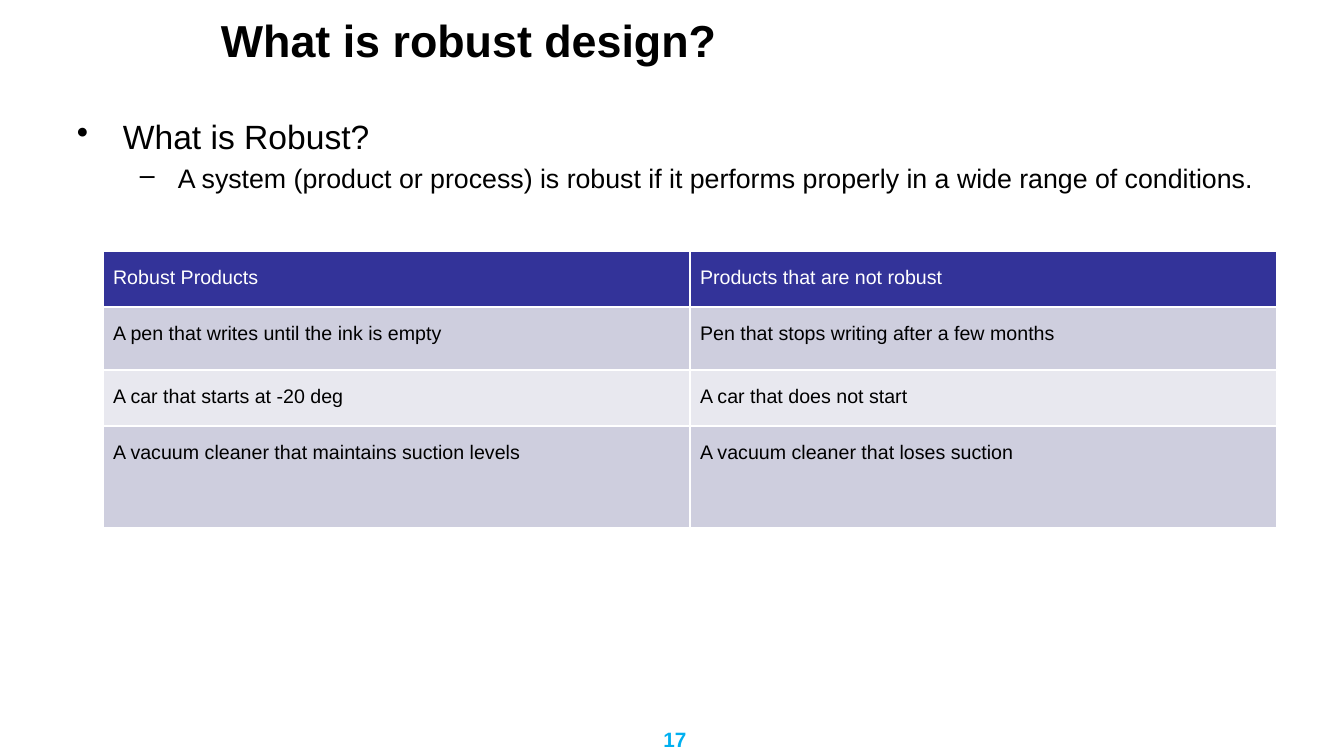
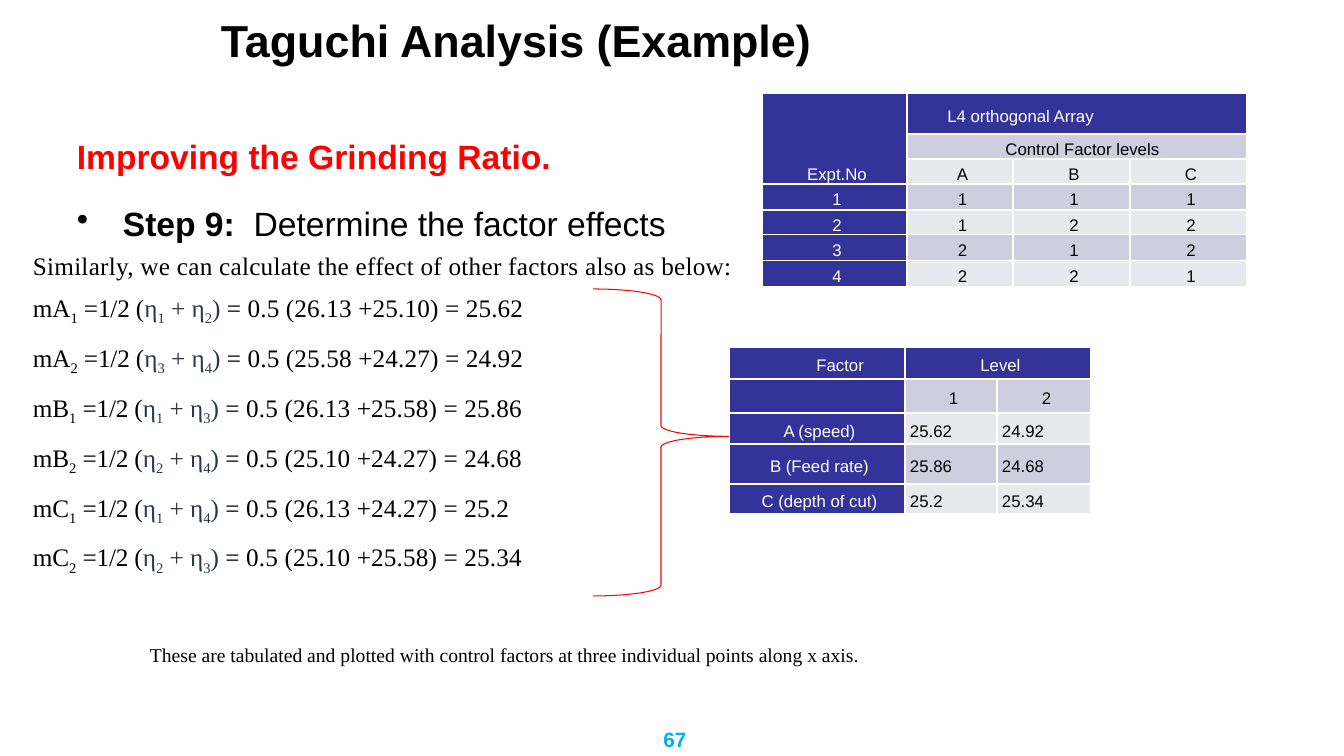
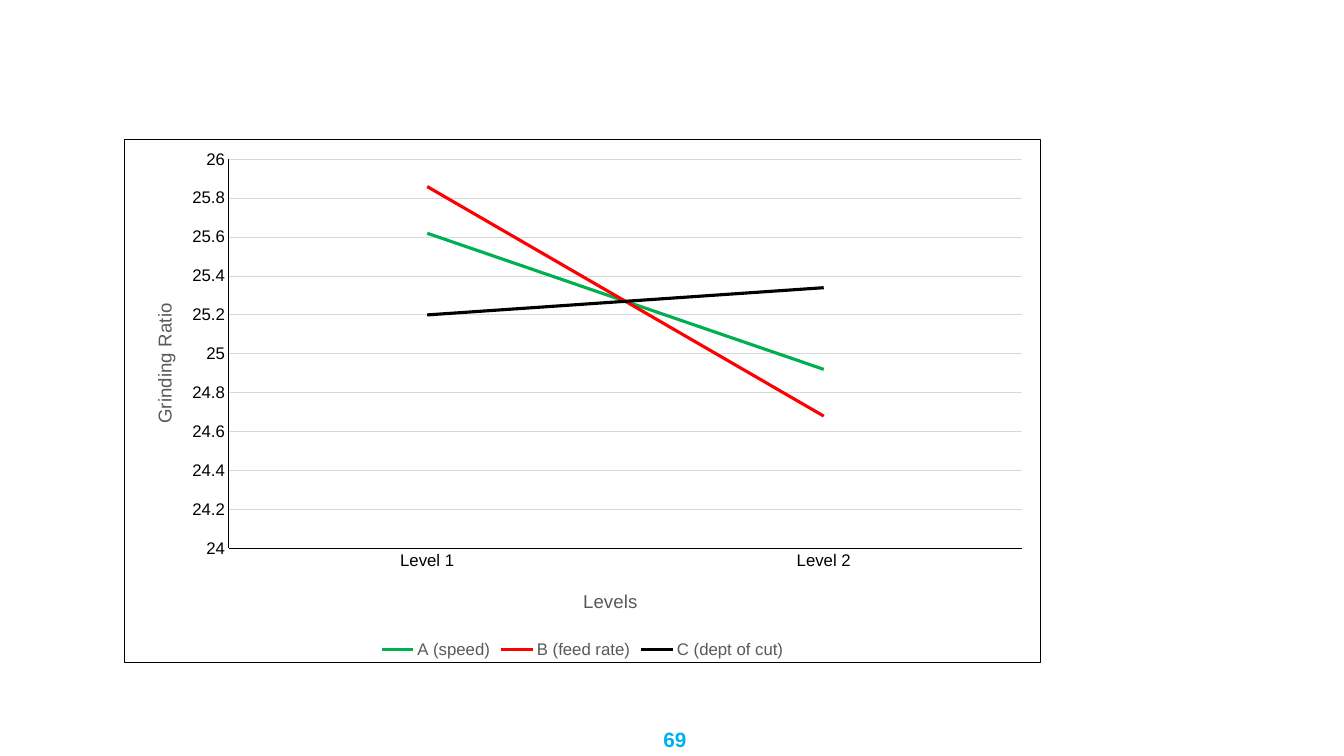
import pptx
import pptx.chart.data
import pptx.dml.color
import pptx.enum.chart
import pptx.enum.shapes
import pptx.enum.text
import pptx.oxml
import pptx.oxml.ns
import pptx.util

PX = 9071  # EMU per px, at 100.8 px to the inch
Pt = pptx.util.Pt
RGBColor = pptx.dml.color.RGBColor
ALIGN = pptx.enum.text.PP_ALIGN
ANCHOR = pptx.enum.text.MSO_ANCHOR
qn = pptx.oxml.ns.qn
nsdecls = pptx.oxml.ns.nsdecls

BLACK = RGBColor(0x00, 0x00, 0x00)
WHITE = RGBColor(0xFF, 0xFF, 0xFF)
RED = RGBColor(0xFF, 0x00, 0x00)
GREEN = RGBColor(0x00, 0xB0, 0x50)
SKY = RGBColor(0x00, 0xB0, 0xF0)
SLATE = RGBColor(0x2B, 0x37, 0x49)
GREY = RGBColor(0x59, 0x59, 0x59)
PALE_GREY = RGBColor(0xD9, 0xD9, 0xD9)
INDIGO = RGBColor(0x33, 0x33, 0x99)
LAVENDER = RGBColor(0xCE, 0xCE, 0xDE)
MIST = RGBColor(0xE8, 0xE8, 0xEF)

TITLE = dict(name="Arial", size=Pt(32), bold=True, color=BLACK)
BODY = dict(name="Arial", size=Pt(24), color=BLACK)
PAGE_NUMBER = dict(name="Arial", size=Pt(14.8), bold=True, color=SKY)
SERIF = dict(name="Times New Roman", size=Pt(18), color=BLACK)
TITLE_BOX = (211, 16, 1132, 47)
BODY_BOX = (67, 111, 1210, 568)
PAGE_NUMBER_BOX = (621, 722, 108, 41)
BULLET = dict(marL=46, indent=-46, bullet="•")
DASH = dict(marL=101, indent=-38, bullet="–")
TIGHT = dict(line_spacing=Pt(17.8))
NO_MARGINS = dict(margin_left=0, margin_right=0, margin_top=0, margin_bottom=0)


def write(frame, base, paragraphs):
    """Fill a frame with (paragraph format, [(text, font changes), ...]) pairs."""
    frame.word_wrap = True
    for number, (layout, runs) in enumerate(paragraphs):
        paragraph = frame.add_paragraph() if number else frame.paragraphs[0]
        properties = paragraph._p.get_or_add_pPr()
        for key, value in layout.items():
            if key in ("marL", "indent"):
                properties.set(key, str(value * PX))
            elif key == "bullet":
                properties.append(pptx.oxml.parse_xml(
                    f'<a:buChar {nsdecls("a")} char="{value}"/>'))
            else:
                setattr(paragraph, key, value)
        for text, changes in runs:
            run = paragraph.add_run()
            run.text = text
            for key, value in {**base, **changes}.items():
                if key == "color":
                    run.font.color.rgb = value
                elif key in ("baseline", "spc"):
                    run._r.get_or_add_rPr().set(key, str(value))
                else:
                    setattr(run.font, key, value)


def add_grid(slide, corner, widths, heights, rows, size, layout, cell_format, header_columns=0):
    """Add a banded table with white rules, a header row and optional header columns."""
    box = [v * PX for v in (*corner, sum(widths), sum(heights))]
    table = slide.shapes.add_table(len(heights), len(widths), *box).table
    for column, width in zip(table.columns, widths):
        column.width = width * PX
    for r, (height, texts) in enumerate(zip(heights, rows)):
        table.rows[r].height = height * PX
        for c, text in enumerate(texts):
            cell = table.cell(r, c)
            header = r == 0 or c < header_columns
            for key, value in cell_format.items():
                setattr(cell, key, value)
            for side in "LRTB":
                cell._tc.get_or_add_tcPr().append(pptx.oxml.parse_xml(
                    f'<a:ln{side} {nsdecls("a")} w="12700"><a:solidFill>'
                    f'<a:srgbClr val="{WHITE}"/></a:solidFill></a:ln{side}>'))
            cell.fill.solid()
            cell.fill.fore_color.rgb = INDIGO if header else LAVENDER if r % 2 else MIST
            font = dict(name="Arial", size=Pt(size), color=WHITE if header else BLACK)
            write(cell.text_frame, font, [(layout, [(text, {})] if text else [])])
    return table


presentation = pptx.Presentation()
presentation.slide_width = 1344 * PX
presentation.slide_height = 756 * PX

slides = []
for title, page_number in [("What is robust design?", "17"),
                           ("Taguchi Analysis (Example)", "67"),
                           ("", "69")]:
    slide = presentation.slides.add_slide(presentation.slide_layouts[6])
    if title:
        heading = slide.shapes.add_textbox(*[v * PX for v in TITLE_BOX]).text_frame
        heading.vertical_anchor = ANCHOR.MIDDLE
        write(heading, TITLE, [({}, [(title, {})])])
    footer = slide.shapes.add_textbox(*[v * PX for v in PAGE_NUMBER_BOX]).text_frame
    write(footer, PAGE_NUMBER, [(dict(alignment=ALIGN.CENTER), [(page_number, {})])])
    slides.append(slide)
robust_slide, taguchi_slide, chart_slide = slides

# Robust design
definition = robust_slide.shapes.add_textbox(*[v * PX for v in BODY_BOX]).text_frame
write(definition, BODY, [
    (BULLET, [("What is Robust?", {})]),
    ({**DASH, "space_before": Pt(4)},
     [("A system (product or process) is robust if it performs properly "
       "in a wide range of conditions.", dict(size=Pt(19.1)))]),
])
add_grid(robust_slide, (103, 251), [587, 587], [56, 63, 56, 102], [
    ("Robust Products", "Products that are not robust"),
    ("A pen that writes until the ink is empty", "Pen that stops writing after a few months"),
    ("A car that starts at -20 deg", "A car that does not start"),
    ("A vacuum cleaner that maintains suction levels", "A vacuum cleaner that loses suction"),
], 14, dict(line_spacing=1.5), {})

# Taguchi analysis
step = taguchi_slide.shapes.add_textbox(*[v * PX for v in BODY_BOX]).text_frame
write(step, BODY, [
    (dict(line_spacing=1.5),
     [("Improving the Grinding Ratio.", dict(bold=True, color=RED))]),
    ({**BULLET, "line_spacing": 1.5, "space_before": Pt(4.8)},
     [("Step 9: ", dict(bold=True)), (" Determine the factor effects", {})]),
])

subscript = dict(baseline=-25000)
slate_subscript = dict(baseline=-25000, color=SLATE)
slate = dict(color=SLATE)
effects = [({**TIGHT, "marL": 10}, [
    ("Similarly, we can calculate the effect of other factors also as below:", dict(spc=20))])]
for factor, level, first, second, ratios, mean in [
    ("A", "1", "1", "2", "26.13 +25.10", "25.62"),
    ("A", "2", "3", "4", "25.58 +24.27", "24.92"),
    ("B", "1", "1", "3", "26.13 +25.58", "25.86"),
    ("B", "2", "2", "4", "25.10 +24.27", "24.68"),
    ("C", "1", "1", "4", "26.13 +24.27", "25.2"),
    ("C", "2", "2", "3", "25.10 +25.58", "25.34"),
]:
    gap = Pt(15) if len(effects) == 1 else Pt(17.8)
    effects.append(({**TIGHT, "marL": 10, "space_before": gap}, [
        (f"m{factor}", dict(spc=-10)), (level, subscript), (" =1/2 (", dict(spc=-10)),
        ("η", slate), (first, slate_subscript), (" + η", slate), (second, slate_subscript),
        (") ", slate), (f"= 0.5 ({ratios}) = {mean}", dict(spc=10)),
    ]))
equations = taguchi_slide.shapes.add_textbox(*[v * PX for v in (13, 251, 991, 341)]).text_frame
write(equations, SERIF, effects)

centred = {**TIGHT, "marL": 5, "alignment": ALIGN.CENTER}
compact = {**NO_MARGINS, "vertical_anchor": ANCHOR.MIDDLE}
means = add_grid(taguchi_slide, (729, 347), [176, 92, 94], [32, 34, 31, 40, 30], [
    ("Factor", "Level", ""),
    ("", "1", "2"),
    ("A (speed)", "25.62", "24.92"),
    ("B (Feed rate)", "25.86", "24.68"),
    ("C (depth of cut)", "25.2", "25.34"),
], 12, centred, compact, header_columns=1)
means.cell(0, 1).merge(means.cell(0, 2))
for r in range(2, 5):
    for c in (1, 2):
        means.cell(r, c).text_frame.paragraphs[0].alignment = ALIGN.LEFT

remark = taguchi_slide.shapes.add_textbox(*[v * PX for v in (140, 638, 937, 40)]).text_frame
write(remark, SERIF, [({}, [
    ("These are tabulated and plotted with control factors at three individual points "
     "along x axis.", dict(size=Pt(14)))])])

brace = taguchi_slide.shapes.add_shape(
    pptx.enum.shapes.MSO_SHAPE.RIGHT_BRACE, *[v * PX for v in (593, 289, 136, 307)])
brace.shadow.inherit = False
brace.adjustments[0] = 0.08
brace.adjustments[1] = 0.48
brace.fill.solid()
brace.fill.fore_color.rgb = WHITE
brace.line.color.rgb = RED
brace.line.width = Pt(0.75)

array = add_grid(taguchi_slide, (762, 93), [145, 106, 117, 117], [41, 25, 25, 26, 25, 26, 26], [
    ("Expt.No", "L4 orthogonal Array", "", ""),
    ("", "Control Factor levels", "", ""),
    ("", "A", "B", "C"),
    ("1", "1", "1", "1"),
    ("2", "1", "2", "2"),
    ("3", "2", "1", "2"),
    ("4", "2", "2", "1"),
], 12, centred, compact, header_columns=1)
array.cell(0, 0).merge(array.cell(2, 0))
array.cell(0, 0).vertical_anchor = ANCHOR.BOTTOM
for r in (0, 1):
    array.cell(r, 1).merge(array.cell(r, 3))
array.cell(1, 1).margin_left = 6 * PX

for heading_cell, margin in [(means.cell(0, 0), 41), (array.cell(0, 1), 153)]:
    heading_cell.margin_right = margin * PX
    heading_cell.text_frame.paragraphs[0].alignment = ALIGN.RIGHT

# Factor effect chart
effect_data = pptx.chart.data.CategoryChartData()
effect_data.categories = ["Level 1", "Level 2"]
factor_lines = [("A (speed)", (25.62, 24.92), GREEN),
                ("B (feed rate)", (25.86, 24.68), RED),
                ("C (dept of cut)", (25.2, 25.34), BLACK)]
for name, values, _ in factor_lines:
    effect_data.add_series(name, values)
CHART_BOX = (124, 139, 917, 524)
chart = chart_slide.shapes.add_chart(
    pptx.enum.chart.XL_CHART_TYPE.LINE, *[v * PX for v in CHART_BOX], effect_data).chart
chart.has_title = False
chart.font.name = "Arial"
chart.font.size = Pt(12)
chart.font.color.rgb = BLACK
chart.has_legend = True
chart.legend.position = pptx.enum.chart.XL_LEGEND_POSITION.BOTTOM
chart.legend.include_in_layout = False
chart.legend.font.name = "Arial"
chart.legend.font.size = Pt(12)
chart.legend.font.color.rgb = GREY
chart.plots[0].vary_by_categories = False
for series, (_, _, color) in zip(chart.plots[0].series, factor_lines):
    series.smooth = False
    series.format.line.color.rgb = color
    series.format.line.width = Pt(2.25)

for axis, title in [(chart.category_axis, "Levels"), (chart.value_axis, "Grinding Ratio")]:
    axis.major_tick_mark = pptx.enum.chart.XL_TICK_MARK.NONE
    axis.minor_tick_mark = pptx.enum.chart.XL_TICK_MARK.NONE
    axis.format.line.color.rgb = BLACK
    axis.format.line.width = Pt(0.75)
    write(axis.axis_title.text_frame,
          dict(name="Arial", size=Pt(13.3), bold=False, color=GREY), [({}, [(title, {})])])
for key, value in dict(minimum_scale=24, maximum_scale=26, major_unit=0.2).items():
    setattr(chart.value_axis, key, value)
chart.value_axis.tick_labels.number_format = "General"
chart.value_axis.tick_labels.number_format_is_linked = False
chart.value_axis.major_gridlines.format.line.color.rgb = PALE_GREY
chart.value_axis.major_gridlines.format.line.width = Pt(0.75)

chart_space = chart._chartSpace
for query, position, layout in [
    ("c:chart/c:plotArea", 0, dict(x=0.114, y=0.038, w=0.866, h=0.744)),
    (".//c:catAx/c:title", 1, dict(x=0.497, y=0.855)),
    (".//c:valAx/c:title", 1, dict(x=0.027, y=0.307)),
]:
    holder = chart_space.xpath(query)[0]
    for automatic in holder.findall(qn("c:layout")):
        holder.remove(automatic)
    target = '<c:layoutTarget val="inner"/>' if "w" in layout else ""
    modes = "".join(f'<c:{key}Mode val="edge"/>' for key in "xy")
    lengths = "".join(f'<c:{key} val="{value}"/>' for key, value in layout.items())
    holder.insert(position, pptx.oxml.parse_xml(
        f'<c:layout {nsdecls("c")}><c:manualLayout>{target}{modes}{lengths}'
        '</c:manualLayout></c:layout>'))
chart_space.find(qn("c:chart")).addnext(pptx.oxml.parse_xml(
    f'<c:spPr {nsdecls("c", "a")}><a:noFill/><a:ln w="9525"><a:solidFill>'
    f'<a:srgbClr val="{BLACK}"/></a:solidFill></a:ln></c:spPr>'))

presentation.save("out.pptx")
